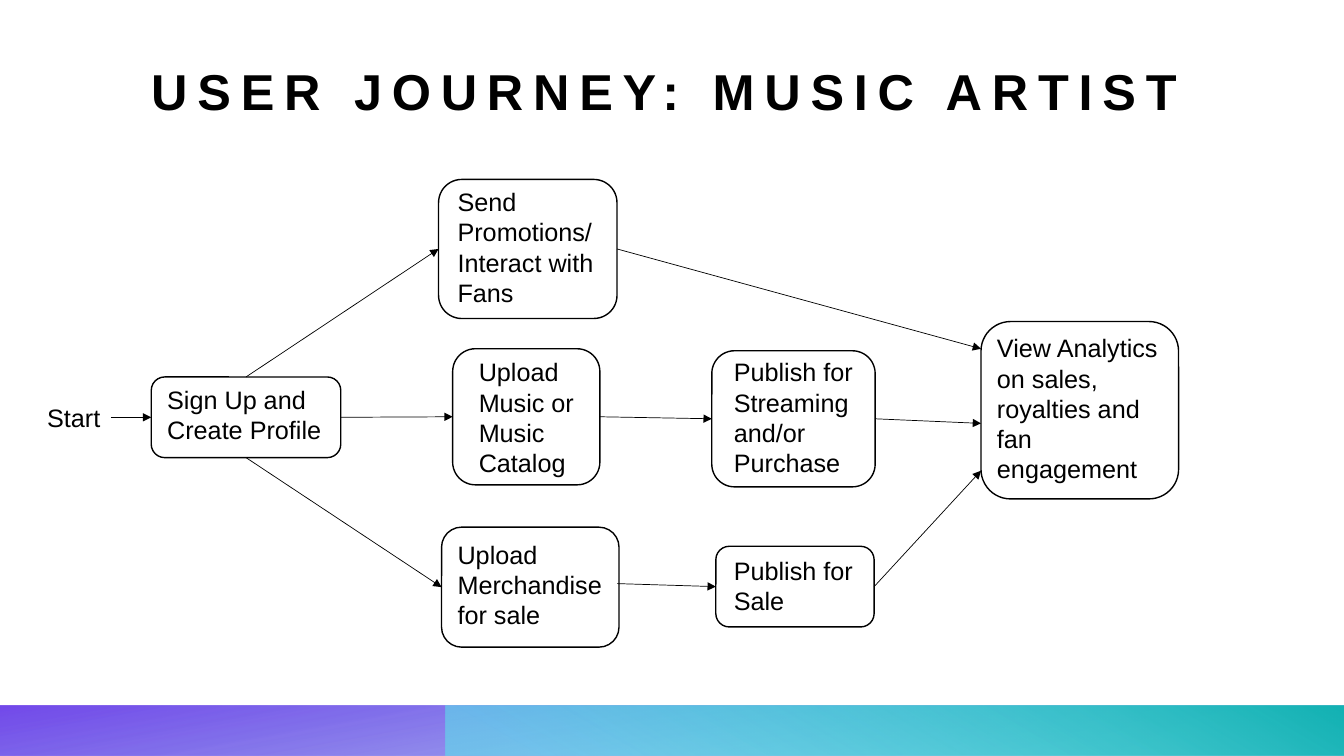
from lxml import etree
from pptx import Presentation
from pptx.dml.color import RGBColor
from pptx.enum import shapes, text
from pptx.oxml.ns import qn
from pptx.util import Inches, Pt

BLACK = "000000"
TOP, LEFT, BOTTOM, RIGHT = range(4)


def color(hex_code):
    return RGBColor.from_string(hex_code)


def set_font(paragraph, size, bold=False):
    paragraph.font.name = "Arial"
    paragraph.font.size = Pt(size)
    paragraph.font.bold = bold
    paragraph.font.color.rgb = color(BLACK)


prs = Presentation()
prs.slide_width, prs.slide_height = Inches(13.33), Inches(7.5)
slide = prs.slides.add_slide(prs.slide_layouts[5])

# Footer bands: left, width, rotation, angle, stops (position, colour, opacity %)
bands = [
    (0, 13.33, 180, 100, [(0.14, "1B37D6", 28), (1, "5B29E7", 85)]),
    (4.42, 8.91, 0, 240, [(0.09, "58EBEC", 55), (0.99, "14B2B4", 100)]),
]
for left, width, rotation, angle, stops in bands:
    band = slide.shapes.add_shape(shapes.MSO_SHAPE.RECTANGLE, Inches(left), Inches(7),
                                  Inches(width), Inches(0.5))
    band.shadow.inherit = False
    band.line.fill.background()
    band.rotation = rotation
    band._element.spPr.find(qn("a:xfrm")).set("flipH", "1")
    band.fill.gradient()
    band.fill.gradient_angle = 360 - angle  # counted anticlockwise
    for stop, (position, hex_code, opacity) in zip(band.fill.gradient_stops, stops):
        stop.position = position
        stop.color.rgb = color(hex_code)
    for rgb, (_, _, opacity) in zip(band._element.spPr.iter(qn("a:srgbClr")), stops):
        etree.SubElement(rgb, qn("a:alpha")).set("val", str(opacity * 1000))

# Title
title = slide.shapes.title
title.left, title.top = Inches(1.5), Inches(0.45)
title.width, title.height = Inches(10.95), Inches(1.35)
heading = title.text_frame
heading.text = "USER JOURNEY: MUSIC ARTIST"
heading.word_wrap = True
heading.auto_size = text.MSO_AUTO_SIZE.NONE
heading.vertical_anchor = text.MSO_ANCHOR.BOTTOM
heading.margin_left = heading.margin_right = heading.margin_top = 0
heading.margin_bottom = Inches(0.6)
heading.paragraphs[0].alignment = text.PP_ALIGN.LEFT
set_font(heading.paragraphs[0], 36, bold=True)
heading.paragraphs[0].runs[0].font._element.set("spc", "700")

# Steps: label, label box, outline box (left, top, width, height)
steps = {
    "sign_up": ("Sign Up and Create Profile",
                (1.56, 3.76, 1.74, 0.71), (1.5, 3.74, 1.88, 0.8)),
    "music": ("Upload Music or Music Catalog",
              (4.65, 3.49, 1.25, 1.31), (4.49, 3.46, 1.46, 1.35)),
    "stream": ("Publish for Streaming and/or Purchase",
               (7.18, 3.49, 1.96, 1.31), (7.06, 3.48, 1.62, 1.35)),
    "analytics": ("View Analytics on sales, royalties and fan engagement",
                  (9.79, 3.25, 2, 1.62), (9.73, 3.19, 1.96, 1.76)),
    "merch": ("Upload Merchandise for sale",
              (4.44, 5.3, 1.76, 1.01), (4.38, 5.23, 1.76, 1.19)),
    "promote": ("Send Promotions/ Interact with Fans",
                (4.44, 1.8, 1.77, 1.31), (4.35, 1.78, 1.77, 1.38)),
    "sale": ("Publish for Sale",
             (7.18, 5.46, 1.76, 0.71), (7.1, 5.42, 1.57, 0.8)),
    "start": ("Start", (0.37, 3.94, 0.73, 0.4), None),
}
outlines = {}
for step, (label, label_box, outline_box) in steps.items():
    caption = slide.shapes.add_textbox(*map(Inches, label_box)).text_frame
    caption.text = label
    caption.word_wrap = outline_box is not None
    caption.auto_size = text.MSO_AUTO_SIZE.SHAPE_TO_FIT_TEXT
    set_font(caption.paragraphs[0], 18)
    if outline_box:
        outline = slide.shapes.add_shape(shapes.MSO_SHAPE.ROUNDED_RECTANGLE,
                                         *map(Inches, outline_box))
        outline.shadow.inherit = False
        outline.fill.background()
        outline.line.color.rgb = color(BLACK)
        outline.line.width = Pt(1)
        outlines[step] = outline

# Arrows: from, to, then the joined step and side at each end
arrows = [
    ((1.1, 4.14), (1.5, 4.14), None, ("sign_up", LEFT)),
    ((3.38, 4.14), (4.49, 4.13), ("sign_up", RIGHT), ("music", LEFT)),
    ((2.44, 3.74), (4.35, 2.47), ("sign_up", TOP), ("promote", LEFT)),
    ((2.44, 4.54), (4.38, 5.83), ("sign_up", BOTTOM), ("merch", LEFT)),
    ((6.12, 2.47), (9.73, 3.46), ("promote", RIGHT), None),
    ((5.95, 4.13), (7.06, 4.15), ("music", RIGHT), ("stream", LEFT)),
    ((6.12, 5.79), (7.1, 5.82), None, ("sale", LEFT)),
    ((8.68, 4.15), (9.73, 4.2), ("stream", RIGHT), None),
    ((8.68, 5.82), (9.73, 4.67), ("sale", RIGHT), None),
]
for begin, end, begin_joint, end_joint in arrows:
    arrow = slide.shapes.add_connector(shapes.MSO_CONNECTOR.STRAIGHT,
                                       *map(Inches, begin + end))
    if begin_joint:
        arrow.begin_connect(outlines[begin_joint[0]], begin_joint[1])
    if end_joint:
        arrow.end_connect(outlines[end_joint[0]], end_joint[1])
    arrow.line.color.rgb = color(BLACK)
    arrow.line.width = Pt(0.5)
    properties = arrow._element.spPr
    etree.SubElement(properties.find(qn("a:ln")), qn("a:tailEnd")).set("type", "triangle")
    etree.SubElement(properties, qn("a:effectLst"))

prs.save("out.pptx")
